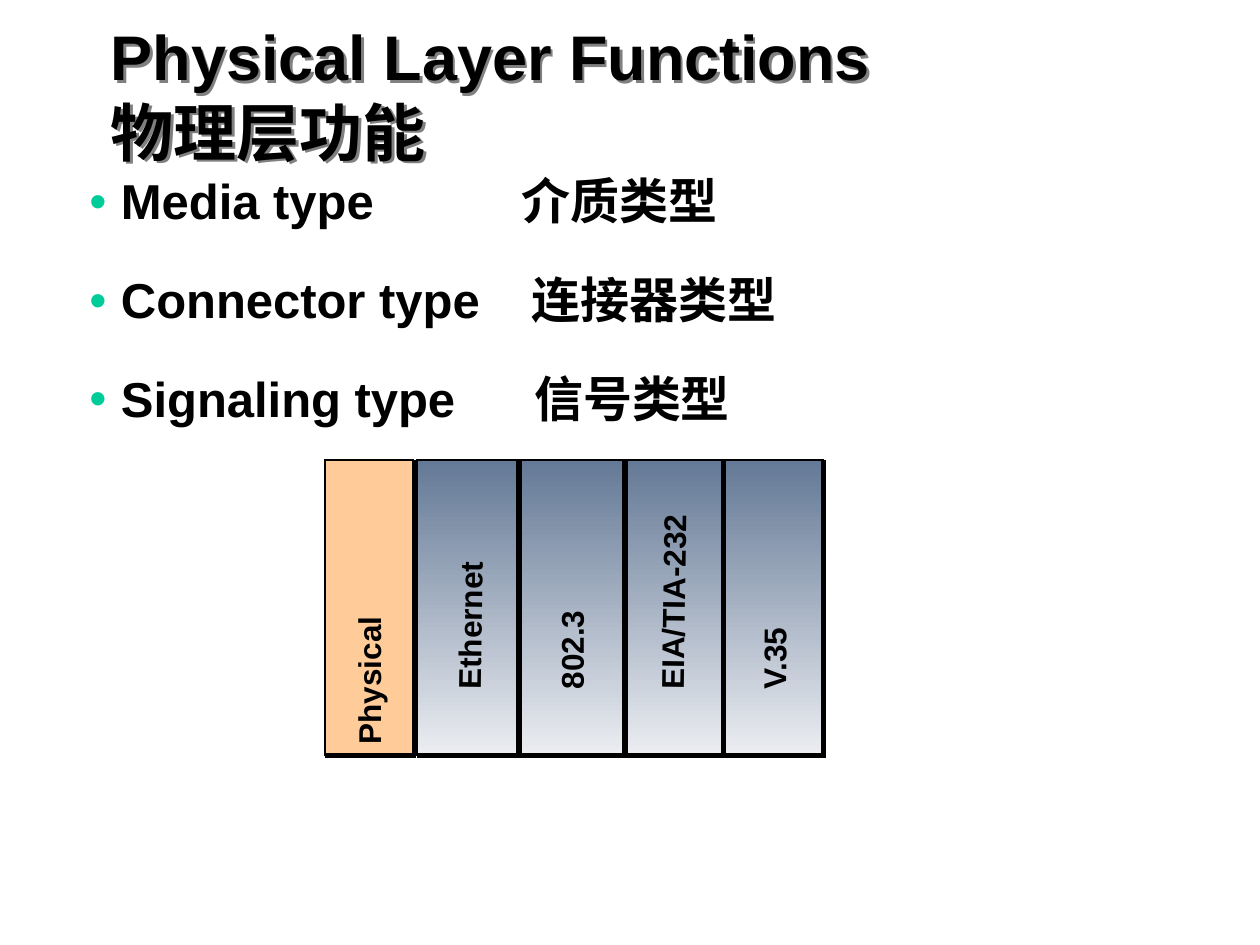
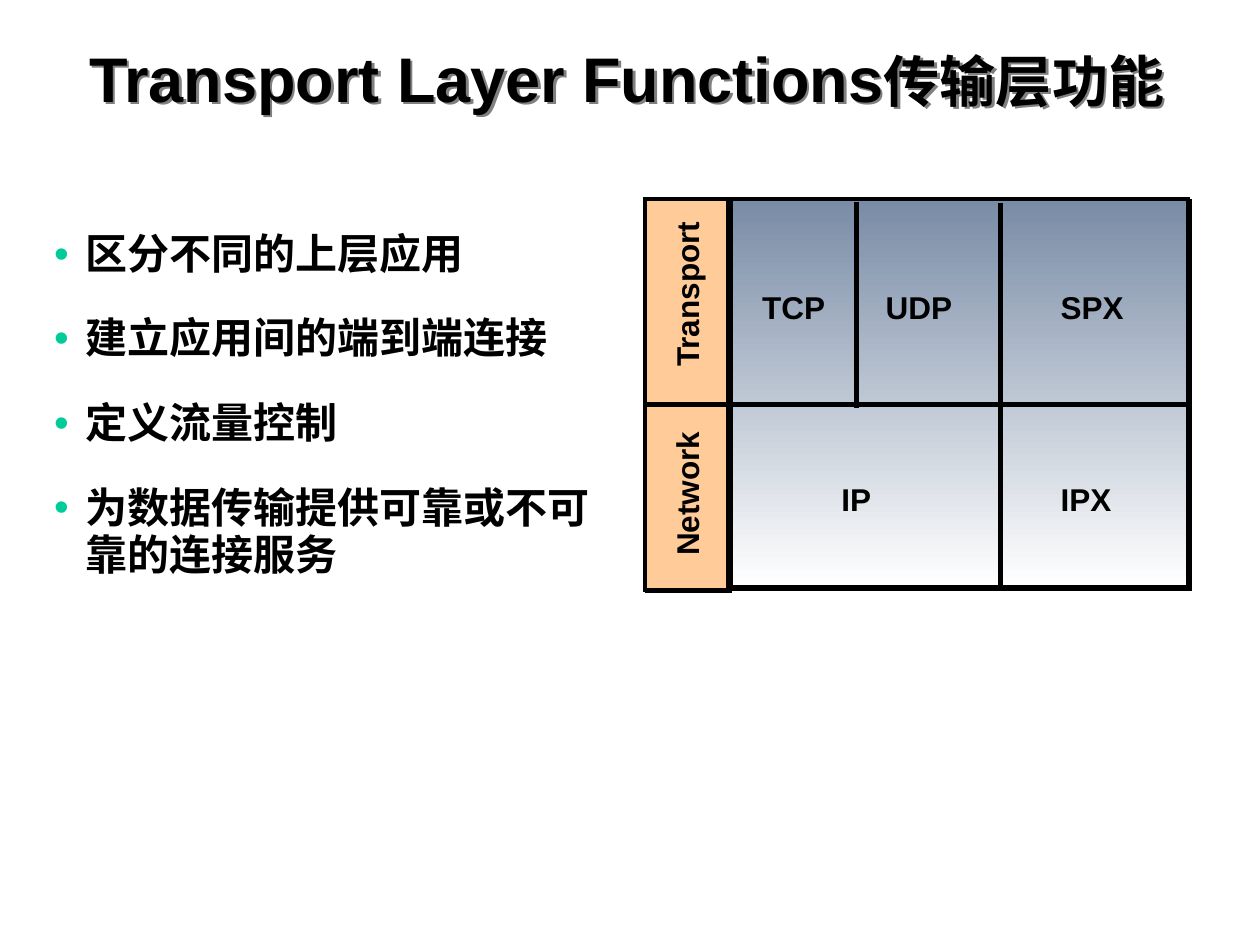
from lxml.etree import SubElement
from pptx import Presentation
from pptx.dml.color import RGBColor
from pptx.enum.shapes import MSO_CONNECTOR, MSO_SHAPE
from pptx.enum.text import MSO_ANCHOR, MSO_AUTO_SIZE, PP_ALIGN
from pptx.oxml.ns import qn
from pptx.util import Inches, Pt

FONT = "Arial"
INK = "000000"
PEACH = "FFCC99"
GREEN = "00CC99"
SHADE = "808080"


def paint(code):
    return RGBColor.from_string(code)


def node(parent, tag, **attrs):
    return SubElement(parent, qn(tag), {key: str(val) for key, val in attrs.items()})


def shadow(shape, size, code):
    cast = node(node(shape._element.spPr, "a:effectLst"), "a:outerShdw", dist=Pt(size),
                dir=2700000, algn="ctr", rotWithShape=0)
    node(cast, "a:srgbClr", val=code)


def write(para, text, size=18, bold=True, color=INK):
    run = para.add_run()
    run.text = text
    font = run.font
    font.name, font.size, font.bold = FONT, Pt(size), bold
    font.color.rgb = paint(color)


class Deck:
    def __init__(self):
        self.prs = Presentation()
        self.prs.slide_width, self.prs.slide_height = Inches(10), Inches(7.5)
        self.slide = None

    def start(self):
        self.slide = self.prs.slides.add_slide(self.prs.slide_layouts[1])

    def place(self, shape, box, pad):
        shape.left, shape.top, shape.width, shape.height = map(Inches, box)
        frame = shape.text_frame
        frame.word_wrap = True
        frame.auto_size = MSO_AUTO_SIZE.NONE
        frame.vertical_anchor = MSO_ANCHOR.MIDDLE
        frame.margin_left = frame.margin_right = Inches(pad)
        frame.margin_top = frame.margin_bottom = Inches(pad / 2)
        return frame

    def title(self, box, lines, align):
        shape = self.slide.shapes.title
        frame = self.place(shape, box, 0.09)
        shadow(shape, 2, SHADE)
        for num, line in enumerate(lines):
            para = frame.add_paragraph() if num else frame.paragraphs[0]
            para.alignment = align
            for text, size in line:
                write(para, text, size=size)

    def bullets(self, box, items, size, gap, left, level=0):
        frame = self.place(self.slide.placeholders[1], box, 0)
        for num, (text, stop) in enumerate(items):
            para = frame.add_paragraph() if num else frame.paragraphs[0]
            para.level = level
            para.line_spacing = 0.95
            para.space_before = Pt(gap)
            props = para._p.get_or_add_pPr()
            props.set("marL", str(Inches(left)))
            props.set("indent", str(Inches(-0.25)))
            node(node(props, "a:buClr"), "a:srgbClr", val=GREEN)
            node(props, "a:buFont", typeface=FONT)
            node(props, "a:buChar", char="•")
            if stop:
                node(node(props, "a:tabLst"), "a:tab", pos=Inches(stop), algn="l")
            write(para, text, size=size)

    def panel(self, box, fills, width):
        shape = self.slide.shapes.add_shape(MSO_SHAPE.RECTANGLE, *map(Inches, box))
        if len(fills) == 1:
            shape.fill.solid()
            shape.fill.fore_color.rgb = paint(fills[0])
        else:
            shape.fill.gradient()
            shape.fill.gradient_angle = 270
            for stop, code in zip(shape.fill.gradient_stops, fills):
                stop.color.rgb = paint(code)
        shape.line.color.rgb = paint(INK)
        shape.line.width = Pt(width)
        node(shape._element.spPr.find(qn("a:ln")), "a:miter", lim=800000)
        shadow(shape, 1.4, INK)

    def label(self, text, box, turn=0):
        shape = self.slide.shapes.add_textbox(*map(Inches, box))
        shape.rotation = turn
        frame = shape.text_frame
        frame.word_wrap = True
        frame.auto_size = MSO_AUTO_SIZE.SHAPE_TO_FIT_TEXT
        write(frame.paragraphs[0], text)

    def rule(self, *ends):
        line = self.slide.shapes.add_connector(MSO_CONNECTOR.STRAIGHT, *map(Inches, ends))
        line.line.color.rgb = paint(INK)
        line.line.width = Pt(3)
        node(line._element.spPr, "a:effectLst")


def physical(deck):
    deck.start()
    deck.title((0.79, 0.08, 8.34, 1.32),
               [[("Physical Layer Functions", 36)], [("物理层功能", 36)]], PP_ALIGN.LEFT)
    items = [("Media type\t介质类型", 3.56), ("Connector type\t连接器类型", 3.64),
             ("Signaling type\t信号类型", 3.66)]
    deck.bullets((0.58, 1.39, 7.83, 2.01), items, 28, 24.5, 0.38, level=1)
    top, tall = 3.65, 2.34
    deck.panel((2.58, top, 0.7, tall), [PEACH], 1.5)
    deck.panel((3.31, top, 3.22, tall), ["647996", "EBEDF1"], 1.5)
    deck.label("Physical", (1.75, 4.63, 2.35, 0.4), 270)
    names = [("Ethernet", 270.8), ("802.3", 270), ("EIA/TIA-232", 270.8), ("V.35", 270.3)]
    for num, (name, turn) in enumerate(names):
        deck.label(name, (2.77 + 0.805 * num, 4.41, 1.92, 0.4), turn)
    for x in (4.12, 4.96, 5.74):
        deck.rule(x, top, x, top + tall)


def transport(deck):
    deck.start()
    deck.title((0.58, 0.17, 8.79, 0.88),
               [[("Transport Layer Functions", 36), ("传输层功能", 32)]], PP_ALIGN.CENTER)
    items = ["区分不同的上层应用", "建立应用间的端到端连接", "定义流量控制",
             "为数据传输提供可靠或不可靠的连接服务"]
    deck.bullets((0.43, 1.83, 4.42, 2.78), [(text, None) for text in items], 24, 21, 0.25)
    deck.panel((5.8, 1.58, 3.63, 3.08), ["798CA6", "FFFFFF"], 2.25)
    deck.panel((5.12, 1.58, 0.66, 3.1), [PEACH], 2.25)
    for name, low in (("Transport", 3.01), ("Network", 4.51)):
        deck.label(name, (4.7, low - 0.95, 1.5, 0.4), 270)
    rows = [(2.24, [("TCP", 5.95), ("UDP", 6.93), ("SPX", 8.32)]),
            (3.76, [("IP", 6.58), ("IPX", 8.32)])]
    for y, cells in rows:
        for name, x in cells:
            deck.label(name, (x, y, 0.85, 0.4))
    deck.rule(7.94, 4.66, 7.94, 1.61)
    deck.rule(6.8, 3.24, 6.8, 1.6)
    deck.rule(5.13, 3.21, 9.46, 3.21)


def main():
    deck = Deck()
    physical(deck)
    transport(deck)
    deck.prs.save("out.pptx")


if __name__ == "__main__":
    main()
